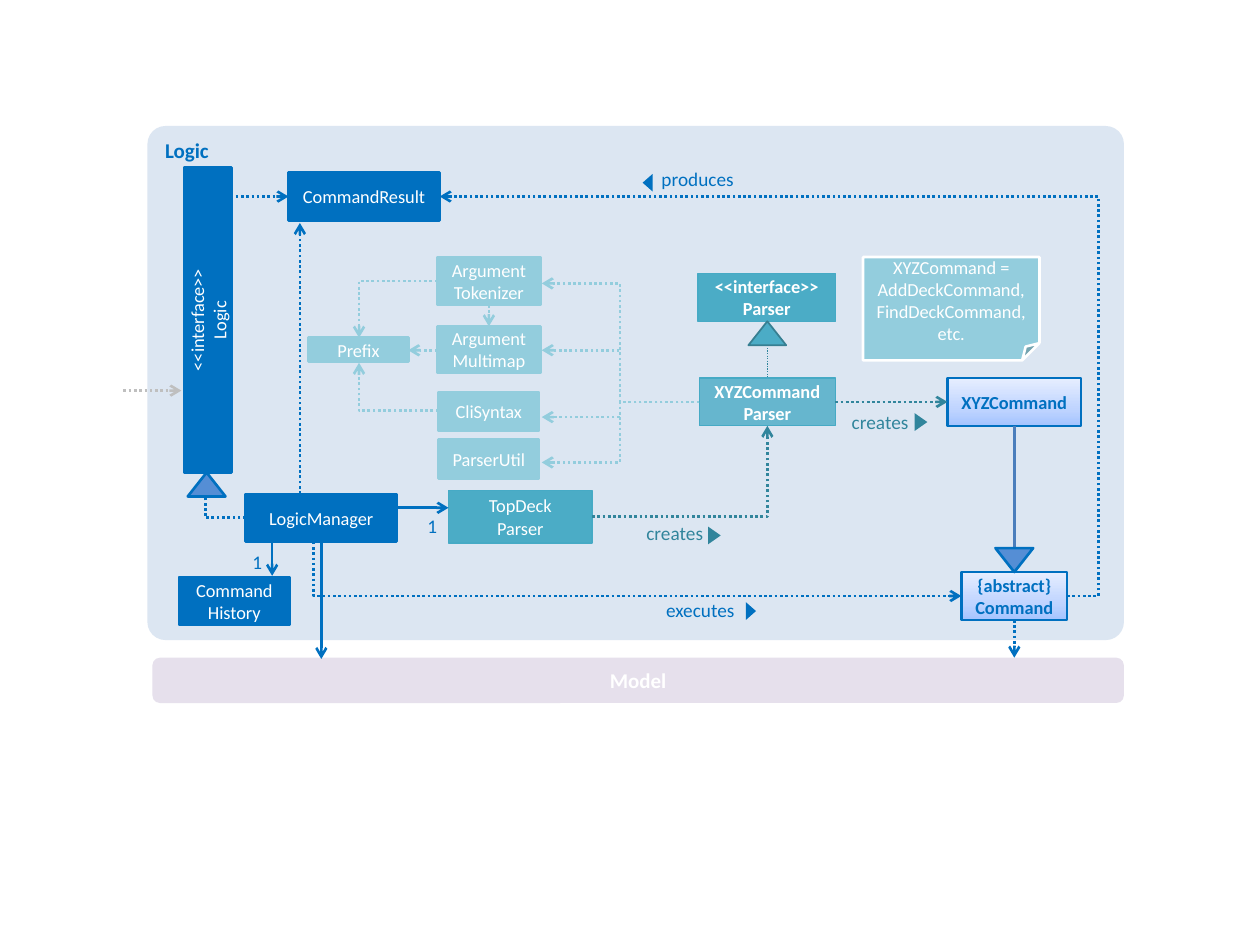
from copy import deepcopy
from dataclasses import dataclass
from typing import Optional

from lxml import etree
from pptx import Presentation
from pptx.dml.color import RGBColor
from pptx.enum.dml import MSO_LINE
from pptx.enum.shapes import MSO_CONNECTOR, MSO_SHAPE
from pptx.enum.text import MSO_ANCHOR, PP_ALIGN
from pptx.oxml.ns import qn
from pptx.util import Inches, Pt

RECT, ROUND = MSO_SHAPE.RECTANGLE, MSO_SHAPE.ROUNDED_RECTANGLE
NOTE, TRIANGLE = MSO_SHAPE.FOLDED_CORNER, MSO_SHAPE.ISOSCELES_TRIANGLE
STRAIGHT, ELBOW = MSO_CONNECTOR.STRAIGHT, MSO_CONNECTOR.ELBOW
LEFT, CENTER, RIGHT = PP_ALIGN.LEFT, PP_ALIGN.CENTER, PP_ALIGN.RIGHT
TOP, MIDDLE = MSO_ANCHOR.TOP, MSO_ANCHOR.MIDDLE
DOTTED = MSO_LINE.ROUND_DOT

COLUMNS, ROWS = 100, 75  # grid cells of a tenth of an inch
FONT = "Calibri"
BLUE, SKY, TEAL, DARK_TEAL = "0070C0", "93CDDD", "4BACC6", "31859C"
TEAL_EDGE, ARROW_BLUE, WHITE = "46AAC5", "558ED5", "FFFFFF"
COMMAND_SHADES = ((0, "A4C4FF"), (0.35, "BFD4FF"), (1, "E6EEFF"))
GRADIENT = "gradient"


@dataclass
class Box:
    """A filled shape; a line feed starts a paragraph, a bar breaks a line."""
    left: float
    top: float
    width: float
    height: float
    text: str = ""
    fill: str = BLUE
    edge: Optional[str] = BLUE
    weight: float = 1.5
    color: str = WHITE
    bold: bool = False
    size: float = 10.5
    kind: int = RECT
    turn: int = 0
    align: int = CENTER
    anchor: int = MIDDLE
    corner: Optional[float] = None
    opacity: Optional[int] = None
    inset: float = 0.5


@dataclass
class Link:
    """A connector; lane is the column of its upright part."""
    start: tuple
    end: tuple
    color: str = BLUE
    lane: Optional[float] = None
    dotted: bool = True
    arrow: bool = True
    weight: float = 1.5


@dataclass
class Label:
    """Small text with an optional direction marker given as a Box."""
    left: float
    top: float
    width: float
    text: str
    color: str = BLUE
    align: int = LEFT
    marker: Optional[Box] = None


def grid(cells: float) -> int:
    """Turn grid cells into a length."""
    return Inches(round(cells / 10, 3))


def paint(color: str) -> RGBColor:
    """Turn a hex string into a colour."""
    return RGBColor.from_string(color)


def write(shape, text: str, size: float, color: str, bold: bool, align: int, anchor: int, inset: float) -> None:
    """Fill a shape with formatted text."""
    frame = shape.text_frame
    frame.word_wrap, frame.vertical_anchor = True, anchor
    frame.margin_left = frame.margin_right = grid(inset)
    frame.margin_top = frame.margin_bottom = grid(min(inset, 0.5))
    for number, row in enumerate(text.split("\n")):
        para = frame.add_paragraph() if number else frame.paragraphs[0]
        para.alignment = align
        for index, part in enumerate(row.split("|")):
            if index:
                para.add_line_break()
            span = para.add_run()
            span.text = part
            span.font.name, span.font.size, span.font.bold = FONT, Pt(size), bold
            span.font.color.rgb = paint(color)


def shade(shape) -> None:
    """Apply the upward gradient of the command boxes."""
    shape.fill.gradient()
    shape.fill.gradient_angle = 90
    stop_list = shape._element.spPr.find(".//" + qn("a:gsLst"))
    stop_list.append(deepcopy(stop_list[-1]))
    for stop, (position, color) in zip(shape.fill.gradient_stops, COMMAND_SHADES):
        stop.position, stop.color.rgb = position, paint(color)


def draw_box(shapes, box: Box) -> None:
    """Draw one box or triangle."""
    shape = shapes.add_shape(box.kind, *map(grid, (box.left, box.top, box.width, box.height)))
    shape.shadow.inherit = False
    shape.rotation = box.turn
    if box.corner is not None:
        shape.adjustments[0] = box.corner
    if box.fill == GRADIENT:
        shade(shape)
    else:
        shape.fill.solid()
        shape.fill.fore_color.rgb = paint(box.fill)
    if box.opacity is not None:
        tone = shape._element.spPr.find(".//" + qn("a:srgbClr"))
        etree.SubElement(tone, qn("a:alpha"), val=str(box.opacity * 1000))
    if box.edge:
        shape.line.color.rgb, shape.line.width = paint(box.edge), Pt(box.weight)
    else:
        shape.line.fill.background()
    if box.text:
        write(shape, box.text, box.size, box.color, box.bold, box.align, box.anchor, box.inset)


def draw_link(shapes, link: Link) -> None:
    """Draw a straight or bent connector."""
    (x1, y1), (x2, y2) = link.start, link.end
    style = STRAIGHT if link.lane is None else ELBOW
    connector = shapes.add_connector(style, *map(grid, (x1, y1, x2, y2)))
    connector.line.color.rgb, connector.line.width = paint(link.color), Pt(link.weight)
    if link.dotted:
        connector.line.dash_style = DOTTED
    properties = connector._element.spPr
    geometry = properties.find(qn("a:prstGeom"))
    if link.lane == x2:
        geometry.set("prst", "bentConnector2")
    elif link.lane is not None:
        share = round((link.lane - x1) / (x2 - x1) * 100000)
        guides = geometry.find(qn("a:avLst"))
        etree.SubElement(guides, qn("a:gd"), name="adj1", fmla=f"val {share}")
    if link.arrow:
        etree.SubElement(properties.find(qn("a:ln")), qn("a:tailEnd"), type="arrow")
    etree.SubElement(properties, qn("a:effectLst"))


def draw_label(shapes, label: Label) -> None:
    """Draw a label, grouped with its marker if it has one."""
    if label.marker:
        shapes = shapes.add_group_shape().shapes
    text_box = shapes.add_textbox(*map(grid, (label.left, label.top, label.width, 2.5)))
    write(text_box, label.text, 11, label.color, False, label.align, TOP, 0)
    if label.marker:
        draw_box(shapes, label.marker)


def marker(left: float, top: float, height: float, color: str, turn: int = 90) -> Box:
    """Describe a direction marker."""
    return Box(left, top, 1.4, height, fill=color, edge=None, kind=TRIANGLE, turn=turn)


sky = dict(fill=SKY, edge=SKY)
teal = dict(fill=TEAL, edge=TEAL_EDGE, weight=0.75)
command = dict(fill=GRADIENT, color=BLUE, bold=True)
BOXES = [
    Box(11.7, 10, 77.5, 40.8, "Logic", "DCE6F2", None, color=BLUE, bold=True, size=12,
        kind=ROUND, align=LEFT, anchor=TOP, corner=0.035, inset=1),
    Box(12.1, 52.2, 77.1, 3.6, "Model", "E6E0EC", None, bold=True, size=12, kind=ROUND),
    Box(4.4, 23.5, 24.2, 3.8, "<<interface>>\nLogic", turn=270),
    Box(22.9, 13.7, 12, 3.8, "CommandResult"),
    Box(19.5, 39.2, 12, 3.8, "LogicManager"),
    Box(14.2, 45.8, 8.8, 3.8, "Command\nHistory"),
    Box(75.2, 30, 10.6, 3.8, "XYZCommand", **command),
    Box(76.3, 45.4, 8.4, 3.8, "{abstract}|Command", **command),
    Box(34.7, 20.4, 8.2, 3.8, "Argument|Tokenizer", **sky),
    Box(34.7, 25.9, 8.2, 3.7, "Argument|Multimap", **sky),
    Box(24.5, 26.8, 7.9, 1.9, "Prefix", **sky),
    Box(34.8, 31.1, 8, 3.1, "CliSyntax", **sky),
    Box(34.8, 34.9, 8, 3.1, "ParserUtil", **sky),
    Box(35.6, 38.9, 11.4, 4.2, "TopDeck\nParser", **teal),
    Box(55.4, 21.7, 10.9, 3.8, "<<interface>>\nParser", bold=True, **teal),
    Box(55.5, 30, 10.8, 3.8, "XYZCommand\nParser", bold=True, opacity=81, **teal),
    Box(68.5, 20.4, 14, 8.2, "XYZCommand = AddDeckCommand, FindDeckCommand, etc.",
        SKY, WHITE, kind=NOTE, inset=1),
]
LINKS = [
    Link((84.7, 47.3), (34.9, 15.6), lane=87.2),
    Link((18.3, 15.6), (22.9, 15.6)),
    Link((80.5, 49.2), (80.5, 52.2)),
    Link((19.5, 41.1), (16.3, 39.4), lane=16.3, arrow=False),
    Link((25.5, 43), (25.5, 52.3), dotted=False),
    Link((9.8, 31), (14.4, 31), "BFBFBF"),
    Link((25, 43.1), (76.3, 47.3), lane=24.9),
    Link((23.8, 39.2), (23.8, 17.7)),
    Link((34.8, 32.6), (28.5, 28.8), SKY, 28.5),
    Link((34.7, 22.3), (28.5, 26.8), SKY, 28.5),
    Link((34.7, 27.8), (32.4, 27.8), SKY),
    Link((38.8, 24.2), (38.8, 25.9), SKY),
    *(Link((55.5, 31.9), (43, row), SKY, 49.2) for row in (22.5, 27.8, 33.1, 36.7)),
    Link((80.5, 43.5), (80.5, 33.8), "4B7EBC", dotted=False, arrow=False),
    Link((66.3, 31.9), (75.2, 31.9), DARK_TEAL),
    Link((21.6, 43.1), (21.6, 45.7), dotted=False),
    Link((31.6, 40.3), (35.6, 40.3), dotted=False),
    Link((47, 41), (60.9, 33.8), DARK_TEAL, 60.9),
    Link((60.9, 27.4), (60.9, 30), DARK_TEAL, arrow=False, weight=0.75),
]
INHERITANCE = [
    Box(14.9, 37.5, 3, 1.9, fill=ARROW_BLUE, kind=TRIANGLE),
    Box(79, 43.5, 3, 1.9, fill=ARROW_BLUE, kind=TRIANGLE, turn=180),
    Box(59.4, 25.5, 3, 1.9, fill=TEAL, edge="377F92", weight=1, kind=TRIANGLE),
]
LABELS = [
    Label(50.3, 47.5, 8, "executes", BLUE, RIGHT, marker(58.9, 48.1, 0.8, BLUE)),
    Label(52.5, 13.3, 8, "produces", marker=marker(50.7, 14.1, 0.8, BLUE, 270)),
    Label(51.3, 41.4, 6.1, "creates", DARK_TEAL, marker=marker(56, 42, 1, DARK_TEAL)),
    Label(67.6, 32.6, 6.5, "creates", DARK_TEAL, marker=marker(72.4, 33, 1, DARK_TEAL)),
    Label(33.3, 40.8, 1.4, "1", align=RIGHT),
    Label(19.4, 43.7, 1.4, "1", align=RIGHT),
]

deck = Presentation()
deck.slide_width, deck.slide_height = grid(COLUMNS), grid(ROWS)
page = deck.slides.add_slide(deck.slide_layouts[6])
for draw, items in ((draw_box, BOXES), (draw_link, LINKS), (draw_box, INHERITANCE), (draw_label, LABELS)):
    for item in items:
        draw(page.shapes, item)
deck.save("out.pptx")
